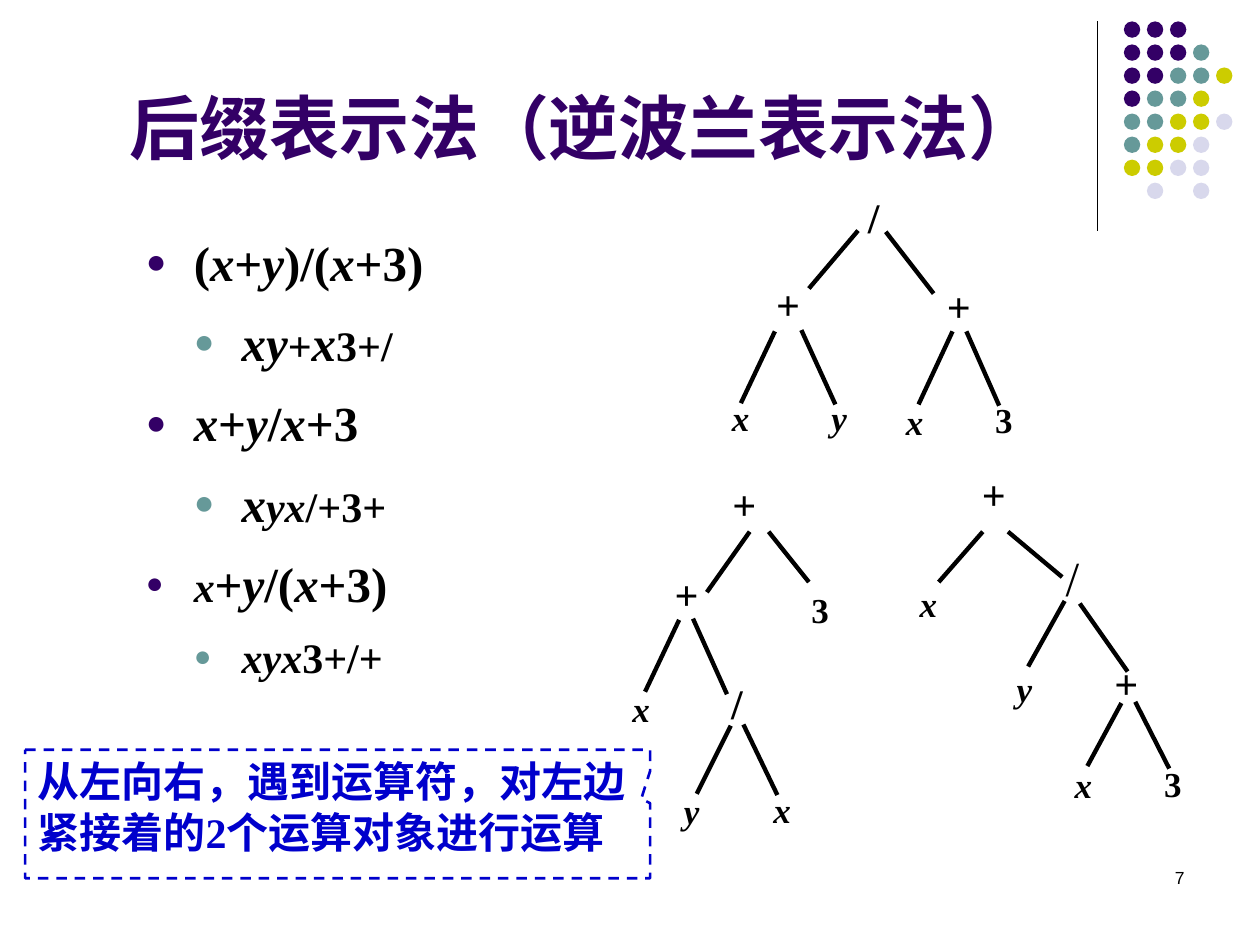
from itertools import groupby

from pptx import Presentation
from pptx.dml.color import RGBColor
from pptx.enum.dml import MSO_LINE
from pptx.enum.shapes import MSO_CONNECTOR, MSO_SHAPE
from pptx.enum.text import MSO_ANCHOR, PP_ALIGN
from pptx.oxml.ns import qn
from pptx.util import Inches, Pt
from lxml.etree import SubElement

SERIF, SANS = "Times New Roman", "Arial"
PURPLE, TEAL, BLACK, BLUE = "330066", "669999", "000000", "0000CC"
LEFT, CENTER, RIGHT, JUSTIFY = (
    PP_ALIGN.LEFT, PP_ALIGN.CENTER, PP_ALIGN.RIGHT, PP_ALIGN.JUSTIFY)

# Content
TITLE = [("后缀表示法（逆", SERIF), ("波兰表示法", SANS), ("）", SERIF)]
NOTE = "从左向右，遇到运算符，对左边紧接着的2个运算对象进行运算"

# Level, then pieces of (text, size); letters are set in italics
FORMULAS = [
    (0, [("(x+y)/(x+3)", 28)]),
    (1, [("xy", 28), ("+", 24), ("x", 28), ("3+/", 24)]),
    (0, [("x+y/x+3", 28)]),
    (1, [("x", 28), ("yx/+3+", 24)]),
    (0, [("x", 24), ("+y/(x+3)", 28)]),
    (1, [("xyx3+/+", 24)]),
]
BULLET_COLORS = [PURPLE, TEAL]

# Each tree: nodes (text, left, top, width, height, align), edges (x1, y1, x2, y2)
TREES = [
    ([("/", 6.62, 1.47, 0.63, 0.39, CENTER),
      ("+", 6.02, 2.16, 0.47, 0.32, CENTER),
      ("+", 7.41, 2.18, 0.4, 0.39, CENTER),
      ("x", 5.71, 3.1, 0.32, 0.32, JUSTIFY),
      ("y", 6.5, 3.1, 0.55, 0.4, JUSTIFY),
      ("x", 7.09, 3.13, 0.32, 0.32, JUSTIFY),
      ("3", 7.8, 3.11, 0.55, 0.4, JUSTIFY)],
     [(6.81, 1.83, 6.42, 2.29), (7.03, 1.84, 7.41, 2.33),
      (6.15, 2.63, 5.88, 3.2), (6.36, 2.62, 6.63, 3.21),
      (7.56, 2.63, 7.29, 3.21), (7.67, 2.63, 7.93, 3.22)]),
    ([("+", 5.55, 3.75, 0.55, 0.4, RIGHT),
      ("+", 5.25, 4.46, 0.4, 0.39, CENTER),
      ("3", 6.34, 4.62, 0.55, 0.4, JUSTIFY),
      ("x", 4.92, 5.41, 0.32, 0.32, JUSTIFY),
      ("/", 5.65, 5.33, 0.4, 0.37, CENTER),
      ("y", 5.33, 6.22, 0.32, 0.3, JUSTIFY),
      ("x", 6.04, 6.21, 0.55, 0.38, JUSTIFY)],
     [(5.95, 4.22, 5.61, 4.7), (6.1, 4.22, 6.42, 4.62),
      (5.39, 4.92, 5.12, 5.49), (5.5, 4.91, 5.77, 5.51),
      (5.8, 5.76, 5.53, 6.3), (5.9, 5.75, 6.17, 6.31)]),
    ([("+", 7.53, 3.67, 0.55, 0.4, RIGHT),
      ("x", 7.2, 4.57, 0.32, 0.32, JUSTIFY),
      ("/", 8.36, 4.3, 0.55, 0.4, JUSTIFY),
      ("y", 7.97, 5.25, 0.55, 0.4, JUSTIFY),
      ("+", 8.74, 5.17, 0.4, 0.35, CENTER),
      ("x", 8.43, 6.01, 0.32, 0.28, JUSTIFY),
      ("3", 9.14, 6, 0.55, 0.35, JUSTIFY)],
     [(7.8, 4.22, 7.45, 4.62), (8, 4.22, 8.43, 4.58),
      (8.45, 4.77, 8.16, 5.29), (8.57, 4.79, 8.95, 5.33),
      (8.9, 5.58, 8.63, 6.08), (9.01, 5.57, 9.28, 6.1)]),
]

# Corner dots, one letter for each dot
DOTS = ["PPP", "PPPT", "PPTTY", "PTTY", "TTYYL", "TYYL", "YYLL", " L L"]
DOT_COLORS = {"P": PURPLE, "T": TEAL, "Y": "CCCC00", "L": "D8D8EC"}
DOT_LEFT, DOT_TOP, DOT_SIZE = 8.92, 0.17, 0.13
DOT_STEP = 1.28 / 7


def rgb(color):
    return RGBColor.from_string(color)


def add_text(shapes, left, top, width, height):
    tf = shapes.add_textbox(*map(Inches, (left, top, width, height))).text_frame
    tf.word_wrap = True
    return tf


def add_run(p, text, size, font=SERIF, color=BLACK, bold=True, italic=False):
    r = p.add_run()
    r.text = text
    f = r.font
    f.size, f.name, f.bold, f.italic = Pt(size), font, bold, italic
    f.color.rgb = rgb(color)


def add_line(shapes, ends, width):
    s = shapes.add_connector(MSO_CONNECTOR.STRAIGHT, *map(Inches, ends))
    s.line.color.rgb, s.line.width = rgb(BLACK), Pt(width)
    SubElement(s._element.spPr, qn("a:effectLst"))


def set_bullet(p, level):
    p.level = level
    pPr = p._p.get_or_add_pPr()
    indent = Inches(0.38)
    pPr.set("marL", str(indent * (level + 1)))
    pPr.set("indent", str(-indent))
    before = SubElement(pPr, qn("a:spcBef"))
    SubElement(before, qn("a:spcPct"), val="20000")
    color = SubElement(pPr, qn("a:buClr"))
    SubElement(color, qn("a:srgbClr"), val=BULLET_COLORS[level])
    SubElement(pPr, qn("a:buSzPct"), val="70000")
    SubElement(pPr, qn("a:buFont"), typeface=SANS)
    SubElement(pPr, qn("a:buChar"), char="●")


prs = Presentation()
prs.slide_width, prs.slide_height = Inches(10), Inches(7.5)
shapes = prs.slides.add_slide(prs.slide_layouts[6]).shapes

# Corner decoration
add_line(shapes, (8.71, 0.17, 8.71, 1.83), 0.75)
dots = shapes.add_group_shape().shapes
for row, letters in enumerate(DOTS):
    for col, letter in enumerate(letters):
        if letter == " ":
            continue
        s = dots.add_shape(
            MSO_SHAPE.OVAL, Inches(DOT_LEFT + col * DOT_STEP),
            Inches(DOT_TOP + row * DOT_STEP), Inches(DOT_SIZE), Inches(DOT_SIZE))
        s.shadow.inherit = False
        s.fill.solid()
        s.fill.fore_color.rgb = rgb(DOT_COLORS[letter])
        s.line.fill.background()

# Title
tf = add_text(shapes, 0.51, 0.44, 8.25, 0.95)
tf.vertical_anchor = MSO_ANCHOR.BOTTOM
p = tf.paragraphs[0]
p.alignment, p.line_spacing = CENTER, 1.2
for text, font in TITLE:
    add_run(p, text, 40, font, PURPLE)

# Infix formulas with their postfix forms
tf = add_text(shapes, 1.06, 1.7, 3.7, 4.09)
for i, (level, pieces) in enumerate(FORMULAS):
    p = tf.add_paragraph() if i else tf.paragraphs[0]
    p.alignment, p.line_spacing = JUSTIFY, 1.2
    set_bullet(p, level)
    for text, size in pieces:
        for italic, chars in groupby(text, str.isalpha):
            add_run(p, "".join(chars), size, italic=italic)

# Expression trees
for nodes, edges in TREES:
    tree = shapes.add_group_shape().shapes
    for ends in edges:
        add_line(tree, ends, 2.5)
    for text, *box, align in nodes:
        p = add_text(tree, *box).paragraphs[0]
        p.alignment = align
        thin = text == "/" and align == JUSTIFY
        size = 28 if thin else 24 if text in "+/" else 20
        add_run(p, text, size, bold=not thin, italic=text.isalpha())

# Evaluation rule
s = shapes.add_shape(MSO_SHAPE.RECTANGULAR_CALLOUT,
                     *map(Inches, (0.2, 5.95, 4.96, 1.02)))
s.adjustments[0], s.adjustments[1] = 0.486, -0.119
s.shadow.inherit = False
s.fill.background()
s.line.color.rgb, s.line.width = rgb(BLUE), Pt(1.5)
s.line.dash_style = MSO_LINE.DASH
tf = s.text_frame
tf.word_wrap, tf.vertical_anchor = True, MSO_ANCHOR.TOP
p = tf.paragraphs[0]
p.alignment = LEFT
add_run(p, NOTE, 24, color=BLUE)

# Page number
p = add_text(shapes, 7.17, 6.83, 2.33, 0.5).paragraphs[0]
p.alignment = RIGHT
add_run(p, "7", 10, SANS, bold=False)

prs.save("out.pptx")
